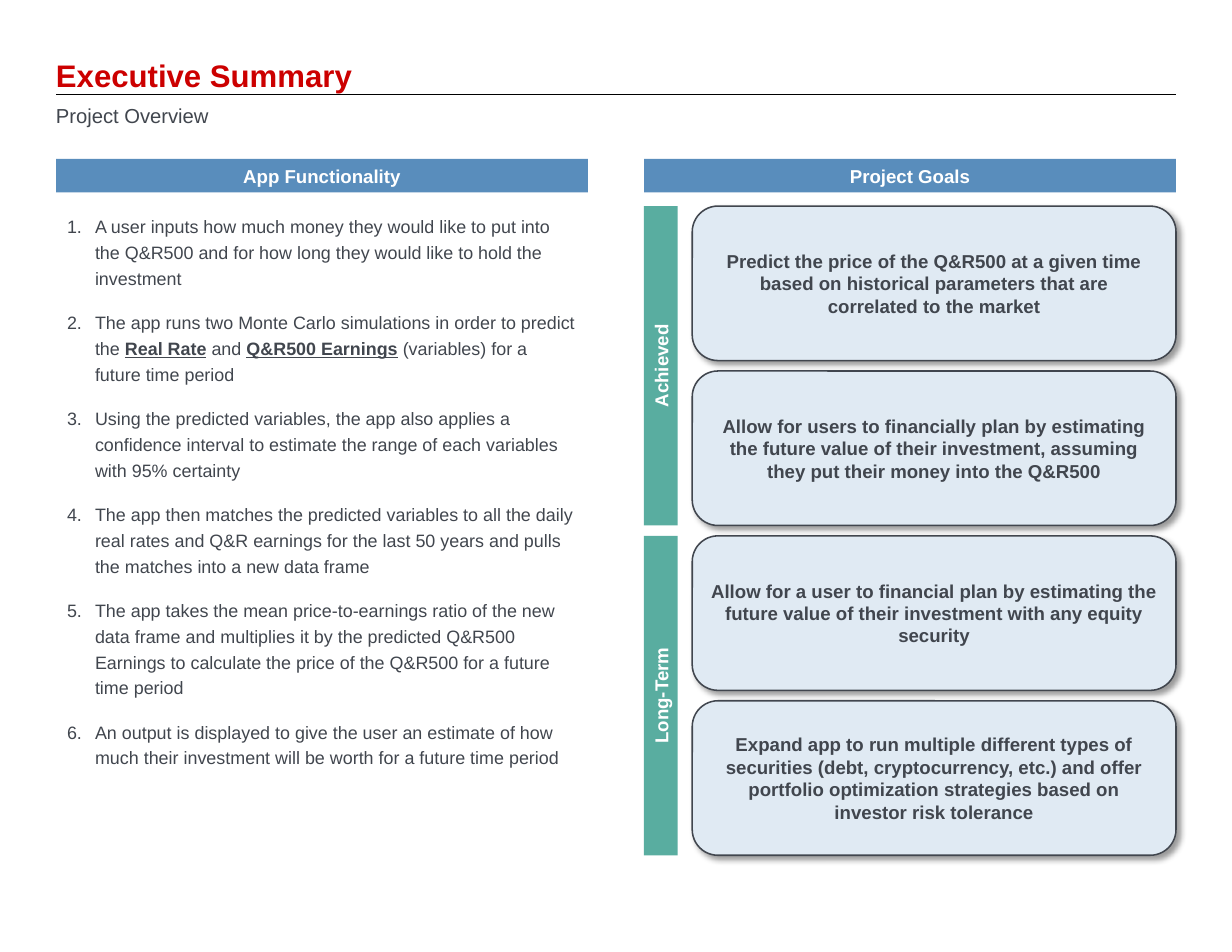
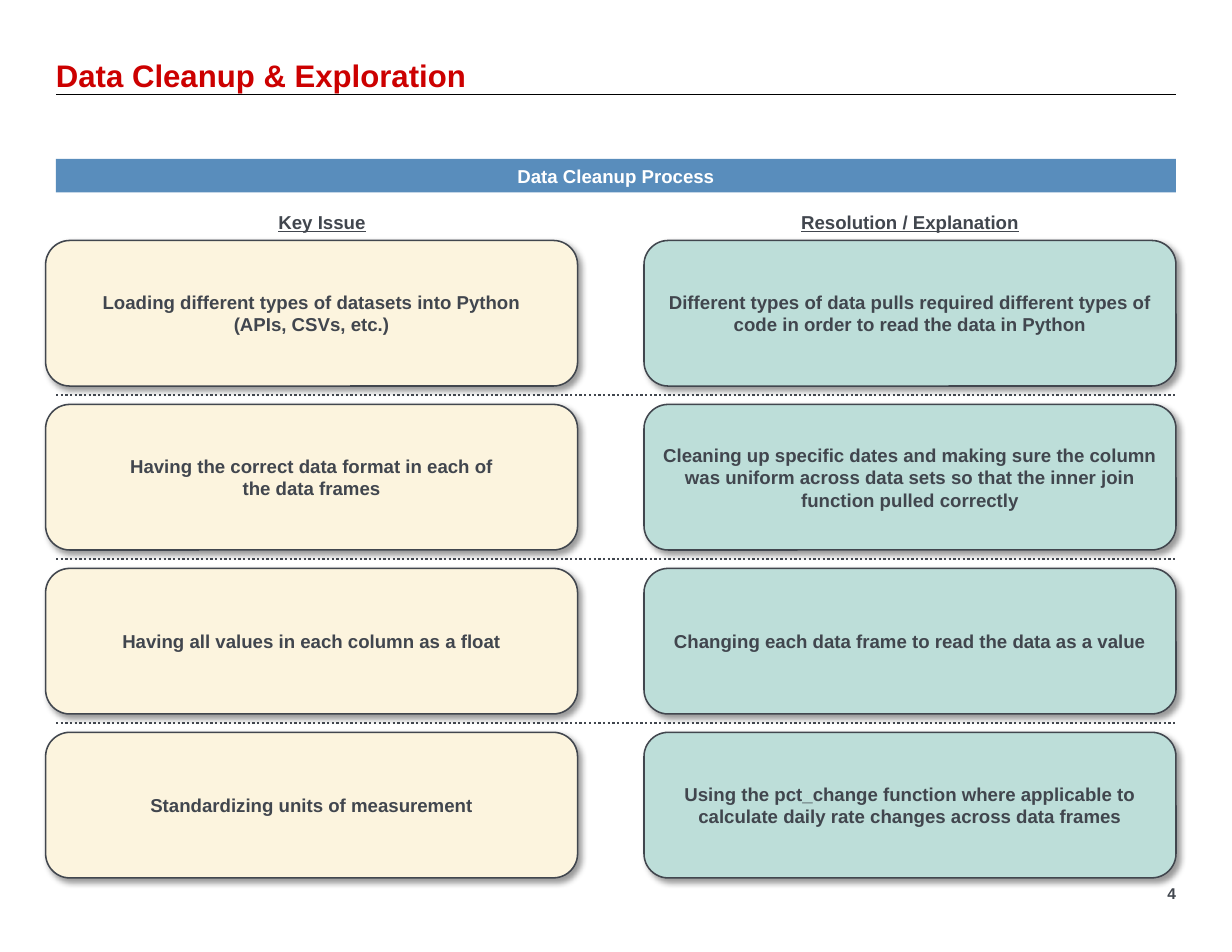
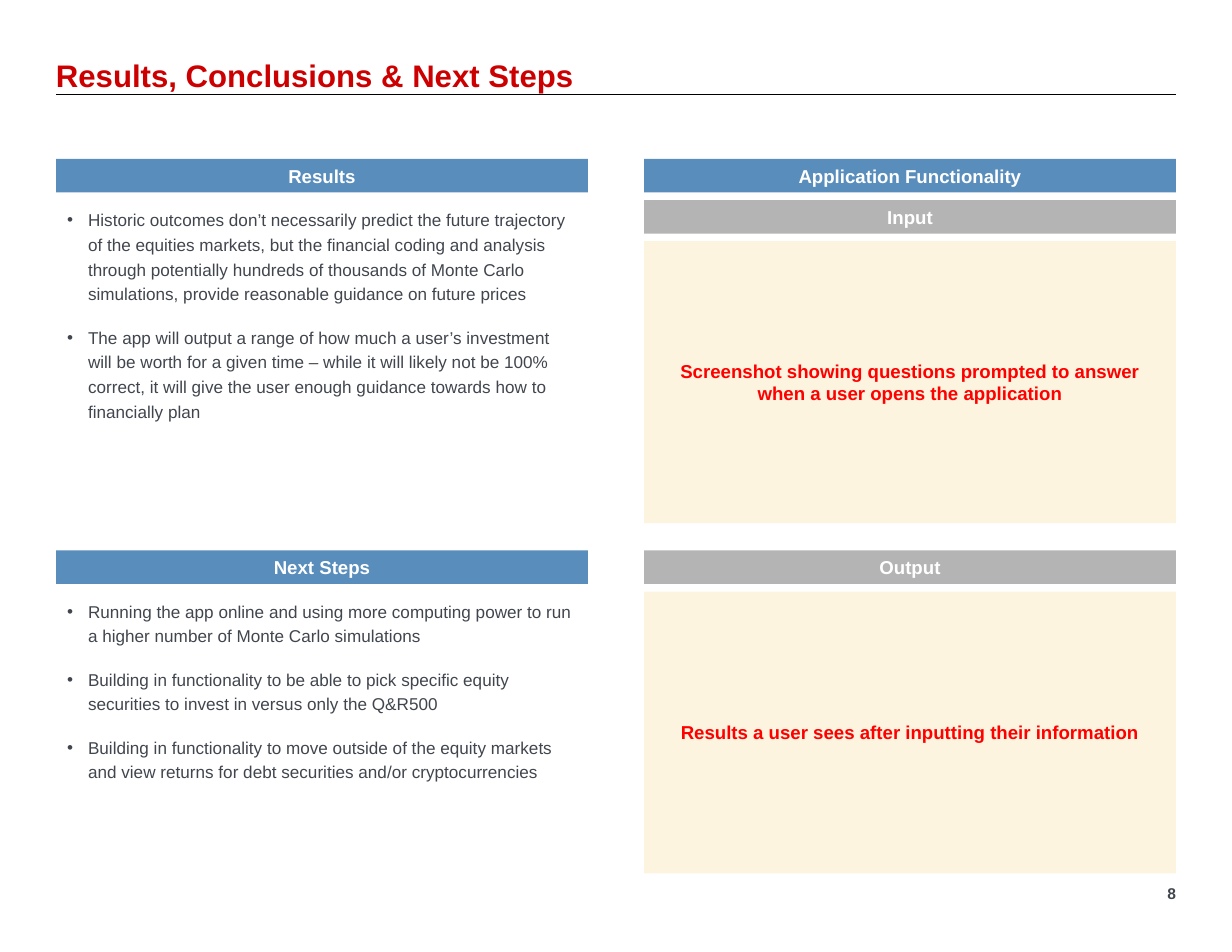
from dataclasses import dataclass, replace

from lxml import etree
from pptx import Presentation
from pptx.dml.color import RGBColor
from pptx.enum.dml import MSO_LINE
from pptx.enum.shapes import MSO_CONNECTOR, MSO_SHAPE
from pptx.enum.text import MSO_ANCHOR, PP_ALIGN
from pptx.oxml.ns import qn
from pptx.util import Pt

RECT, ROUNDED = MSO_SHAPE.RECTANGLE, MSO_SHAPE.ROUNDED_RECTANGLE
STRAIGHT, DOTTED = MSO_CONNECTOR.STRAIGHT, MSO_LINE.ROUND_DOT
LEFT, CENTER, RIGHT = PP_ALIGN.LEFT, PP_ALIGN.CENTER, PP_ALIGN.RIGHT
TOP, MIDDLE, BOTTOM = MSO_ANCHOR.TOP, MSO_ANCHOR.MIDDLE, MSO_ANCHOR.BOTTOM

# Shared colours
BLACK, WHITE, INK = "000000", "FFFFFF", "41464E"
TITLE_RED, ALERT_RED = "CC0000", "FF0000"
BLUE, PALE_BLUE = "598DBC", "E0EAF3"
TEAL, PALE_TEAL = "59ADA0", "BDDED9"
CREAM, GREY = "FCF4DE", "B4B4B4"

# Shared grid, in points
FONT = "Arial"
MARGIN, FULL_W, COLUMN_W = 36, 720, 342
RIGHT_EDGE = MARGIN + FULL_W
RIGHT_X = RIGHT_EDGE - COLUMN_W
RULE_Y, BAND_Y, BAND_H = 60.5, 102.2, 21.6


@dataclass(frozen=True)
class Box:
    x: float
    y: float
    w: float
    h: float


@dataclass(frozen=True)
class Run:
    text: str
    strong: bool = False


@dataclass(frozen=True)
class TextStyle:
    size: float
    color: str = INK
    bold: bool = False
    underline: bool = False
    align: PP_ALIGN = LEFT
    anchor: MSO_ANCHOR = TOP
    inset: bool = True
    line_spacing: float | Pt | None = None
    before: float = 0
    after: float = 0
    indent: float = 0
    bullet: str = ""


TITLE = TextStyle(20, TITLE_RED, bold=True, anchor=BOTTOM, inset=False, line_spacing=Pt(24))
SUBTITLE = TextStyle(13, inset=False, line_spacing=Pt(15), after=6)
CARD = TextStyle(12, bold=True, align=CENTER, anchor=MIDDLE)
BAND = replace(CARD, color=WHITE)
ALERT = replace(CARD, color=ALERT_RED)
COLUMN_HEAD = replace(CARD, underline=True)
PAGE = TextStyle(10, bold=True, align=RIGHT, anchor=MIDDLE, inset=False)
STEPS = TextStyle(11.5, line_spacing=1.2, before=6, after=6, indent=18, bullet="1.")
POINTS = replace(STEPS, size=11, indent=13.5, bullet="•")

Paragraph = str | list[Run]


def rgb(value: str) -> RGBColor:
    return RGBColor.from_string(value)


def add_bullet(paragraph, style: TextStyle) -> None:
    props = paragraph._p.get_or_add_pPr()
    props.set("marL", str(Pt(style.indent)))
    props.set("indent", str(-Pt(style.indent)))
    etree.SubElement(props, qn("a:buFont"), typeface=FONT)
    if style.bullet == "1.":
        etree.SubElement(props, qn("a:buAutoNum"), type="arabicPeriod")
    else:
        etree.SubElement(props, qn("a:buChar"), char=style.bullet)


def write(frame, paragraphs: list[Paragraph], style: TextStyle) -> None:
    frame.word_wrap = True
    frame.vertical_anchor = style.anchor
    if not style.inset:
        frame.margin_left = frame.margin_right = frame.margin_top = frame.margin_bottom = 0
    for index, content in enumerate(paragraphs):
        paragraph = frame.add_paragraph() if index else frame.paragraphs[0]
        paragraph.alignment = style.align
        if style.line_spacing:
            paragraph.line_spacing = style.line_spacing
        paragraph.space_before, paragraph.space_after = Pt(style.before), Pt(style.after)
        if style.bullet:
            add_bullet(paragraph, style)
        for part in [Run(content)] if isinstance(content, str) else content:
            run = paragraph.add_run()
            run.text = part.text
            font = run.font
            font.name, font.size = FONT, Pt(style.size)
            font.color.rgb = rgb(style.color)
            font.bold = style.bold or part.strong
            font.underline = style.underline or part.strong


def add_text(slide, box: Box, paragraphs: list[Paragraph], style: TextStyle) -> None:
    text = slide.shapes.add_textbox(Pt(box.x), Pt(box.y), Pt(box.w), Pt(box.h))
    write(text.text_frame, paragraphs, style)


def add_panel(slide, box: Box, fill: str, paragraphs: list[str],
              style: TextStyle = BAND, kind: MSO_SHAPE = RECT):
    panel = slide.shapes.add_shape(kind, Pt(box.x), Pt(box.y), Pt(box.w), Pt(box.h))
    panel.shadow.inherit = False
    panel.fill.solid()
    panel.fill.fore_color.rgb = rgb(fill)
    panel.line.fill.background()
    write(panel.text_frame, paragraphs, style)
    return panel


def add_card(slide, box: Box, fill: str, paragraphs: list[str]) -> None:
    """Rounded, outlined panel with a soft shadow."""
    card = add_panel(slide, box, fill, paragraphs, CARD, ROUNDED)
    card.line.color.rgb = rgb(INK)
    card.line.width = Pt(1)
    effects = card._element.spPr.find(qn("a:effectLst"))
    shadow = etree.SubElement(effects, qn("a:outerShdw"), blurRad=str(Pt(4)), dist=str(Pt(3)),
                              dir=str(45 * 60000), algn="tl", rotWithShape="0")
    color = etree.SubElement(shadow, qn("a:srgbClr"), val=BLACK)
    etree.SubElement(color, qn("a:alpha"), val="40000")


def add_band(slide, x: float, y: float, label: str, fill: str = BLUE, w: float = COLUMN_W) -> None:
    add_panel(slide, Box(x, y, w, BAND_H), fill, [label])


def add_side_label(slide, x: float, y: float, length: float, label: str) -> None:
    """Band turned to read upwards; x and y are its visible corner."""
    shift = (length - BAND_H) / 2
    bar = add_panel(slide, Box(x - shift, y + shift, length, BAND_H), TEAL, [label])
    bar.rotation = 270


def add_rule(slide, y: float, color: str, width: float, dotted: bool = False) -> None:
    rule = slide.shapes.add_connector(STRAIGHT, Pt(MARGIN), Pt(y), Pt(RIGHT_EDGE), Pt(y))
    rule.line.color.rgb = rgb(color)
    rule.line.width = Pt(width)
    if dotted:
        rule.line.dash_style = DOTTED
    etree.SubElement(rule._element.spPr, qn("a:effectLst"))


def start_slide(deck, title: str, page: str = ""):
    slide = deck.slides.add_slide(deck.slide_layouts[6])
    add_rule(slide, RULE_Y, BLACK, 0.5)
    add_text(slide, Box(MARGIN, 36, 648, RULE_Y - 36), [title], TITLE)
    if page:
        add_text(slide, Box(RIGHT_EDGE - 26, 564, 26, 20), [page], PAGE)
    return slide


def build_summary(deck) -> None:
    slide = start_slide(deck, "Executive Summary")
    add_text(slide, Box(MARGIN, 67, FULL_W, 15), ["Project Overview"], SUBTITLE)
    add_band(slide, MARGIN, BAND_Y, "App Functionality")
    add_band(slide, RIGHT_X, BAND_Y, "Project Goals")

    # How the app works
    steps = [
        "A user inputs how much money they would like to put into the Q&R500 and for how long "
        "they would like to hold the investment",
        [Run("The app runs two Monte Carlo simulations in order to predict the "),
         Run("Real Rate", True), Run(" and "), Run("Q&R500 Earnings", True),
         Run(" (variables) for a future time period")],
        "Using the predicted variables, the app also applies a confidence interval to estimate "
        "the range of each variables with 95% certainty",
        "The app then matches the predicted variables to all the daily real rates and Q&R "
        "earnings for the last 50 years and pulls the matches into a new data frame",
        "The app takes the mean price-to-earnings ratio of the new data frame and multiplies it "
        "by the predicted Q&R500 Earnings to calculate the price of the Q&R500 for a future "
        "time period",
        "An output is displayed to give the user an estimate of how much their investment will "
        "be worth for a future time period",
    ]
    add_text(slide, Box(MARGIN, 132.5, COLUMN_W, 276.5), steps, STEPS)

    # Goals, two to each time frame
    goals = [
        ["Predict the price of the Q&R500 at a given time based on historical parameters that are",
         "correlated to the market"],
        ["Allow for users to financially plan by estimating the future value of their "
         "investment, assuming they put their money into the Q&R500"],
        ["Allow for a user to financial plan by estimating the future value of their investment "
         "with any equity security"],
        ["Expand app to run multiple different types of securities (debt, cryptocurrency, etc.) "
         "and offer portfolio optimization strategies based on investor risk tolerance"],
    ]
    top, pitch, height, card_x = 132.5, 106, 99.3, 445
    for row, goal in enumerate(goals):
        add_card(slide, Box(card_x, top + row * pitch, RIGHT_EDGE - card_x, height),
                 PALE_BLUE, goal)
    for pair, label in enumerate(["Achieved", "Long-Term"]):
        add_side_label(slide, RIGHT_X, top + 2 * pair * pitch, pitch + height, label)


def build_cleanup(deck) -> None:
    slide = start_slide(deck, "Data Cleanup & Exploration", "4")
    add_band(slide, MARGIN, BAND_Y, "Data Cleanup Process", w=FULL_W)
    for x, heading in [(MARGIN, "Key Issue"), (RIGHT_X, "Resolution / Explanation")]:
        add_text(slide, Box(x, 132, COLUMN_W, BAND_H), [heading], COLUMN_HEAD)

    # Issue and resolution pairs, parted by dotted rules
    pairs = [
        (["Loading different types of datasets into Python", "(APIs, CSVs, etc.)"],
         "Different types of data pulls required different types of code in order to read the "
         "data in Python"),
        (["Having the correct data format in each of", "the data frames"],
         "Cleaning up specific dates and making sure the column was uniform across data sets so "
         "that the inner join function pulled correctly"),
        (["Having all values in each column as a float"],
         "Changing each data frame to read the data as a value"),
        (["Standardizing units of measurement"],
         "Using the pct_change function where applicable to calculate daily rate changes across "
         "data frames"),
    ]
    issue_x, top, pitch, height = 29.3, 154.6, 105.4, 93.6
    for row, (issue, resolution) in enumerate(pairs):
        y = top + row * pitch
        if row:
            add_rule(slide, y - (pitch - height) / 2, INK, 1.5, dotted=True)
        add_card(slide, Box(issue_x, y, COLUMN_W, height), CREAM, issue)
        add_card(slide, Box(RIGHT_X, y, COLUMN_W, height), PALE_TEAL, [resolution])


def build_results(deck) -> None:
    slide = start_slide(deck, "Results, Conclusions & Next Steps", "8")
    lower_y = 353.8

    # Findings and plans
    results = [
        "Historic outcomes don’t necessarily predict the future trajectory of the equities "
        "markets, but the financial coding and analysis through potentially hundreds of "
        "thousands of Monte Carlo simulations, provide reasonable guidance on future prices",
        "The app will output a range of how much a user’s investment will be worth for a given "
        "time – while it will likely not be 100% correct, it will give the user enough guidance "
        "towards how to financially plan",
    ]
    next_steps = [
        "Running the app online and using more computing power to run a higher number of Monte "
        "Carlo simulations",
        "Building in functionality to be able to pick specific equity securities to invest in "
        "versus only the Q&R500",
        "Building in functionality to move outside of the equity markets and view returns for "
        "debt securities and/or cryptocurrencies",
    ]
    for y, heading, points in [(BAND_Y, "Results", results), (lower_y, "Next Steps", next_steps)]:
        add_band(slide, MARGIN, y, heading)
        add_text(slide, Box(MARGIN, y + 26.5, COLUMN_W, 144), points, POINTS)

    # Application screens
    add_band(slide, RIGHT_X, BAND_Y, "Application Functionality")
    screens = [
        (128.6, "Input", "Screenshot showing questions prompted to answer when a user opens the "
                         "application"),
        (lower_y, "Output", "Results a user sees after inputting their information"),
    ]
    for y, heading, note in screens:
        add_band(slide, RIGHT_X, y, heading, GREY)
        add_panel(slide, Box(RIGHT_X, y + 26.5, COLUMN_W, 181.2), CREAM, [note], ALERT)


def main() -> None:
    deck = Presentation()
    deck.slide_width, deck.slide_height = Pt(792), Pt(612)
    build_summary(deck)
    build_cleanup(deck)
    build_results(deck)
    deck.save("out.pptx")


if __name__ == "__main__":
    main()
